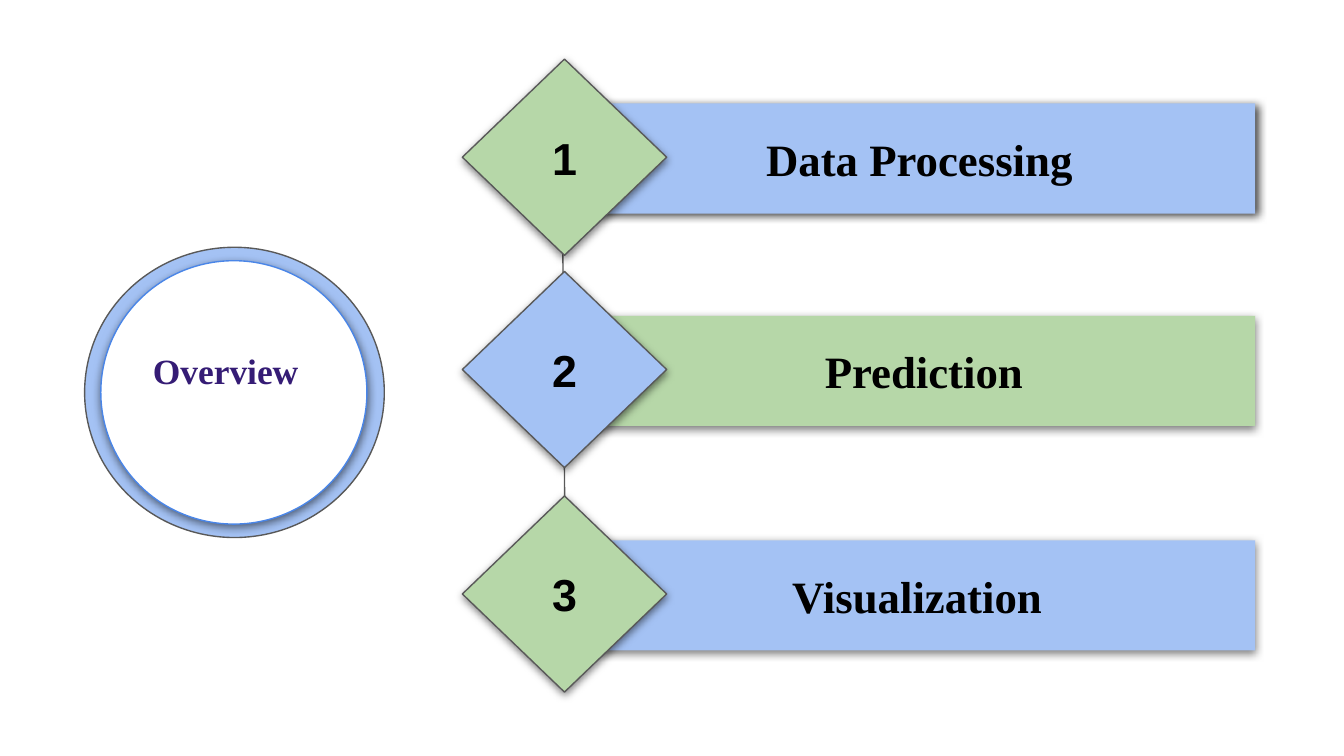
from lxml import etree
from pptx import Presentation
from pptx.dml.color import RGBColor
from pptx.enum.shapes import MSO_CONNECTOR, MSO_SHAPE
from pptx.enum.text import MSO_ANCHOR, PP_ALIGN
from pptx.oxml.ns import qn
from pptx.util import Inches, Pt

RECTANGLE, DIAMOND, OVAL = MSO_SHAPE.RECTANGLE, MSO_SHAPE.DIAMOND, MSO_SHAPE.OVAL
STRAIGHT = MSO_CONNECTOR.STRAIGHT
MIDDLE = MSO_ANCHOR.MIDDLE
LEFT, CENTER = PP_ALIGN.LEFT, PP_ALIGN.CENTER

BLUE = RGBColor(0xA4, 0xC2, 0xF4)
GREEN = RGBColor(0xB6, 0xD7, 0xA8)
GRAY = RGBColor(0x59, 0x59, 0x59)
BRIGHT_BLUE = RGBColor(0x4A, 0x86, 0xE8)
PURPLE = RGBColor(0x35, 0x1C, 0x75)
BLACK = RGBColor(0, 0, 0)
WHITE = RGBColor(0xFF, 0xFF, 0xFF)
SERIF, SANS = "Times New Roman", "Arial"

OVERVIEW = "Overview"
DOWN_SHADOW = (50, 90)
STEPS = [
    {"label": "Data Processing", "top": 0.44, "bar_left": 4.34, "bar": BLUE,
     "diamond": GREEN, "shadow": (74, 24), "right_inset": 0.1},
    {"label": "Prediction", "top": 2.02, "bar_left": 4.41, "bar": GREEN,
     "diamond": BLUE, "shadow": DOWN_SHADOW, "right_inset": 0.1},
    {"label": "Visualization", "top": 3.69, "bar_left": 4.41, "bar": BLUE,
     "diamond": GREEN, "shadow": DOWN_SHADOW, "right_inset": 0.2},
]
DIAMOND_LEFT, DIAMOND_WIDTH, DIAMOND_HEIGHT = 3.44, 1.52, 1.46
BAR_RIGHT, BAR_HEIGHT, BAR_DROP = 9.34, 0.82, 0.33


def add_shadow(shape, opacity, angle):
    effects = shape._element.spPr.find(qn("a:effectLst"))
    shadow = etree.SubElement(
        effects, qn("a:outerShdw"), blurRad=str(Pt(4.5)), dist=str(Pt(1.5)),
        dir=str(angle * 60000), algn="bl", rotWithShape="0")
    color = etree.SubElement(shadow, qn("a:srgbClr"), val=str(BLACK))
    etree.SubElement(color, qn("a:alpha"), val=str(opacity * 1000))


def add_part(group, preset, box, fill, line=None, shadow=None):
    part = group.shapes.add_shape(preset, *(Inches(length) for length in box))
    part.shadow.inherit = False
    part.fill.solid()
    part.fill.fore_color.rgb = fill
    if line is None:
        part.line.fill.background()
    else:
        part.line.color.rgb = line
        part.line.width = Pt(0.75)
    if shadow:
        add_shadow(part, *shadow)
    return part


def write(part, text, font, size, color, align=CENTER, right=0.1, bottom=0.1):
    frame = part.text_frame
    frame.word_wrap = True
    frame.vertical_anchor = MIDDLE
    frame.margin_left = frame.margin_top = Inches(0.1)
    frame.margin_right, frame.margin_bottom = Inches(right), Inches(bottom)
    paragraph = frame.paragraphs[0]
    paragraph.alignment = align
    run = paragraph.add_run()
    run.text = text
    run.font.name = font
    run.font.size = Pt(size)
    run.font.bold = True
    run.font.color.rgb = color


def add_step(slide, number, step):
    group = slide.shapes.add_group_shape()
    bar_box = (step["bar_left"], step["top"] + BAR_DROP,
               BAR_RIGHT - step["bar_left"], BAR_HEIGHT)
    bar = add_part(group, RECTANGLE, bar_box, step["bar"], shadow=step["shadow"])
    write(bar, step["label"], SERIF, 24, BLACK, right=step["right_inset"])
    diamond_box = (DIAMOND_LEFT, step["top"], DIAMOND_WIDTH, DIAMOND_HEIGHT)
    diamond = add_part(group, DIAMOND, diamond_box, step["diamond"], GRAY, DOWN_SHADOW)
    write(diamond, str(number), SANS, 24, BLACK)


def add_overview(slide):
    group = slide.shapes.add_group_shape()
    add_part(group, OVAL, (0.63, 1.84, 2.23, 2.16), BLUE, GRAY)
    disc = add_part(group, OVAL, (0.75, 1.94, 1.98, 1.96), WHITE, BRIGHT_BLUE, DOWN_SHADOW)
    write(disc, OVERVIEW, SERIF, 19, PURPLE, align=LEFT, bottom=0.43)


def add_spine(slide):
    ends = (4.18, 0.77, 4.21, 4.9)
    spine = slide.shapes.add_connector(STRAIGHT, *(Inches(length) for length in ends))
    spine.line.color.rgb = GRAY
    spine.line.width = Pt(0.75)
    etree.SubElement(spine._element.spPr, qn("a:effectLst"))


def main():
    deck = Presentation()
    deck.slide_width = Inches(10)
    deck.slide_height = deck.slide_width * 9 // 16
    slide = deck.slides.add_slide(deck.slide_layouts[6])
    add_spine(slide)
    for number, step in enumerate(STEPS, 1):
        add_step(slide, number, step)
    add_overview(slide)
    deck.save("out.pptx")


if __name__ == "__main__":
    main()
